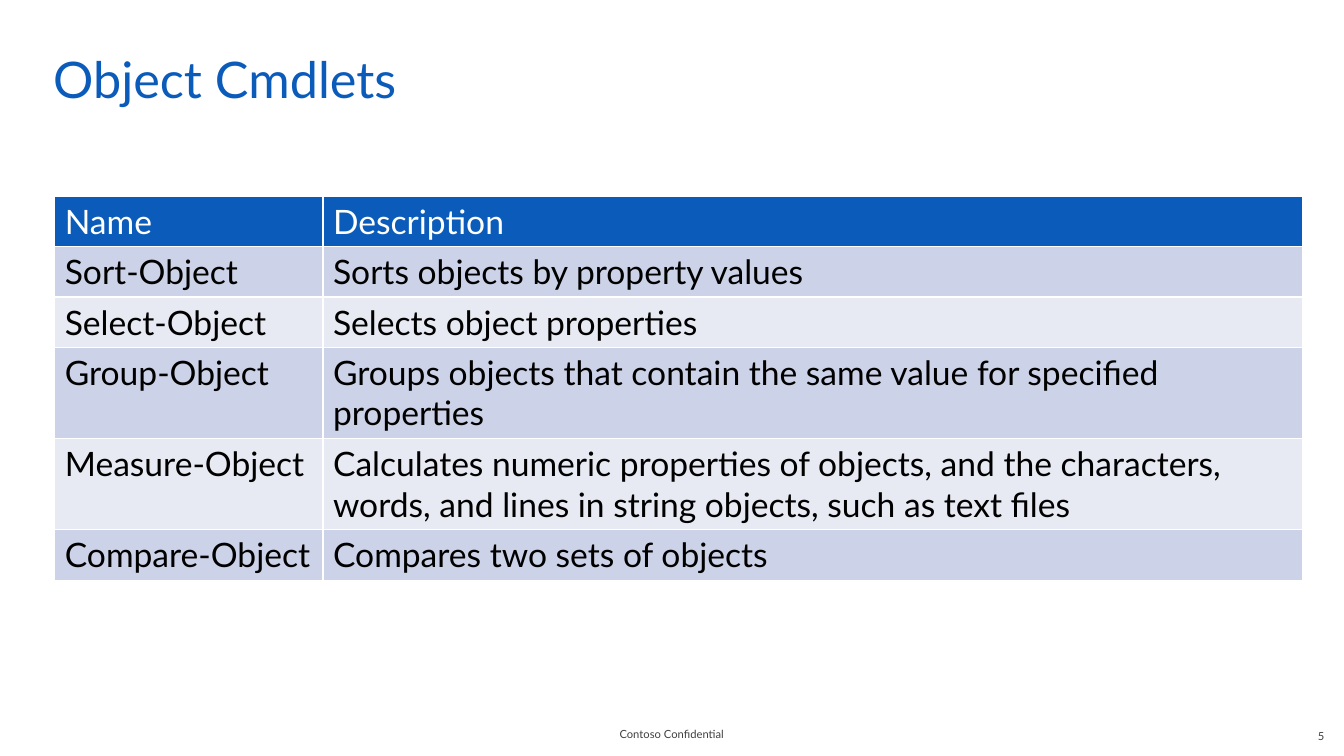
from lxml.etree import SubElement
from pptx import Presentation
from pptx.dml.color import RGBColor
from pptx.enum.text import MSO_ANCHOR, MSO_AUTO_SIZE, PP_ALIGN
from pptx.oxml.ns import qn
from pptx.util import Cm, Pt

COLORS = {
    "blue": "0A5BBA",
    "white": "FFFFFF",
    "black": "000000",
    "gray": "3F3F3F",
    "band_dark": "CCD2E7",
    "band_light": "E7EAF3",
}
FONT = "Lato"
TITLE_ONLY = 5

CMDLETS = [
    ("Name", "Description"),
    ("Sort-Object", "Sorts objects by property values"),
    ("Select-Object", "Selects object properties"),
    ("Group-Object",
     "Groups objects that contain the same value for specified properties"),
    ("Measure-Object",
     "Calculates numeric properties of objects, and the characters, words, "
     "and lines in string objects, such as text files"),
    ("Compare-Object", "Compares two sets of objects"),
]
COLUMN_WIDTHS = (6.76, 24.69)
ONE_LINE, TWO_LINES = 1.27, 2.3
ROW_HEIGHTS = (ONE_LINE, ONE_LINE, ONE_LINE, TWO_LINES, TWO_LINES, ONE_LINE)


def color(name):
    return RGBColor.from_string(COLORS[name])


def write(frame, text, size, color_name, align=PP_ALIGN.LEFT):
    frame.text = text
    para = frame.paragraphs[0]
    para.alignment = align
    for span in para.runs:
        span.font.name = FONT
        span.font.size = Pt(size)
        span.font.color.rgb = color(color_name)


def set_frame(frame, anchor, left, top, right, bottom):
    frame.word_wrap = True
    frame.auto_size = MSO_AUTO_SIZE.NONE
    frame.vertical_anchor = anchor
    frame.margin_left, frame.margin_top = Cm(left), Cm(top)
    frame.margin_right, frame.margin_bottom = Cm(right), Cm(bottom)


def add_title(page, text, left, top, width, height):
    title = page.shapes.title
    title.left, title.top = Cm(left), Cm(top)
    title.width, title.height = Cm(width), Cm(height)
    set_frame(title.text_frame, MSO_ANCHOR.TOP, 0.5, 0.38, 0.25, 0.13)
    write(title.text_frame, text, 36, "blue")


def add_footer(page, text, align, left, top, width, height):
    box = page.shapes.add_textbox(Cm(left), Cm(top), Cm(width), Cm(height))
    set_frame(box.text_frame, MSO_ANCHOR.MIDDLE, 0.5, 0.13, 0.5, 0.13)
    write(box.text_frame, text, 8, "gray", align)


def set_borders(cell, color_name, width):
    """Draw all four sides; the lines must come before the fill."""
    properties = cell._tc.get_or_add_tcPr()
    for side in ("a:lnL", "a:lnR", "a:lnT", "a:lnB"):
        line = SubElement(properties, qn(side), w=str(Pt(width)))
        fill = SubElement(line, qn("a:solidFill"))
        SubElement(fill, qn("a:srgbClr"), val=COLORS[color_name])


def add_cmdlet_table(page, left, top):
    table = page.shapes.add_table(
        len(CMDLETS), len(COLUMN_WIDTHS), Cm(left), Cm(top),
        Cm(sum(COLUMN_WIDTHS)), Cm(sum(ROW_HEIGHTS))).table
    for column, width in zip(table.columns, COLUMN_WIDTHS):
        column.width = Cm(width)

    for index, (row, height) in enumerate(zip(table.rows, ROW_HEIGHTS)):
        row.height = Cm(height)
        # Header first, then alternating bands
        if index == 0:
            fill, ink = "blue", "white"
        else:
            fill, ink = ("band_dark" if index % 2 else "band_light"), "black"
        for cell, text in zip(row.cells, CMDLETS[index]):
            write(cell.text_frame, text, 24, ink)
            set_borders(cell, "white", 1)
            cell.fill.solid()
            cell.fill.fore_color.rgb = color(fill)


def main():
    deck = Presentation()
    deck.slide_width, deck.slide_height = Cm(33.87), Cm(19.05)
    page = deck.slides.add_slide(deck.slide_layouts[TITLE_ONLY])

    add_title(page, "Object Cmdlets", 0.84, 0.84, 31.32, 1.9)
    add_cmdlet_table(page, 1.38, 4.94)

    # Footer and page number
    add_footer(page, "Contoso Confidential", PP_ALIGN.CENTER,
               12.98, 17.98, 7.9, 1.02)
    add_footer(page, "5", PP_ALIGN.RIGHT, 25.98, 18.03, 7.9, 1.02)

    deck.save("out.pptx")


if __name__ == "__main__":
    main()
